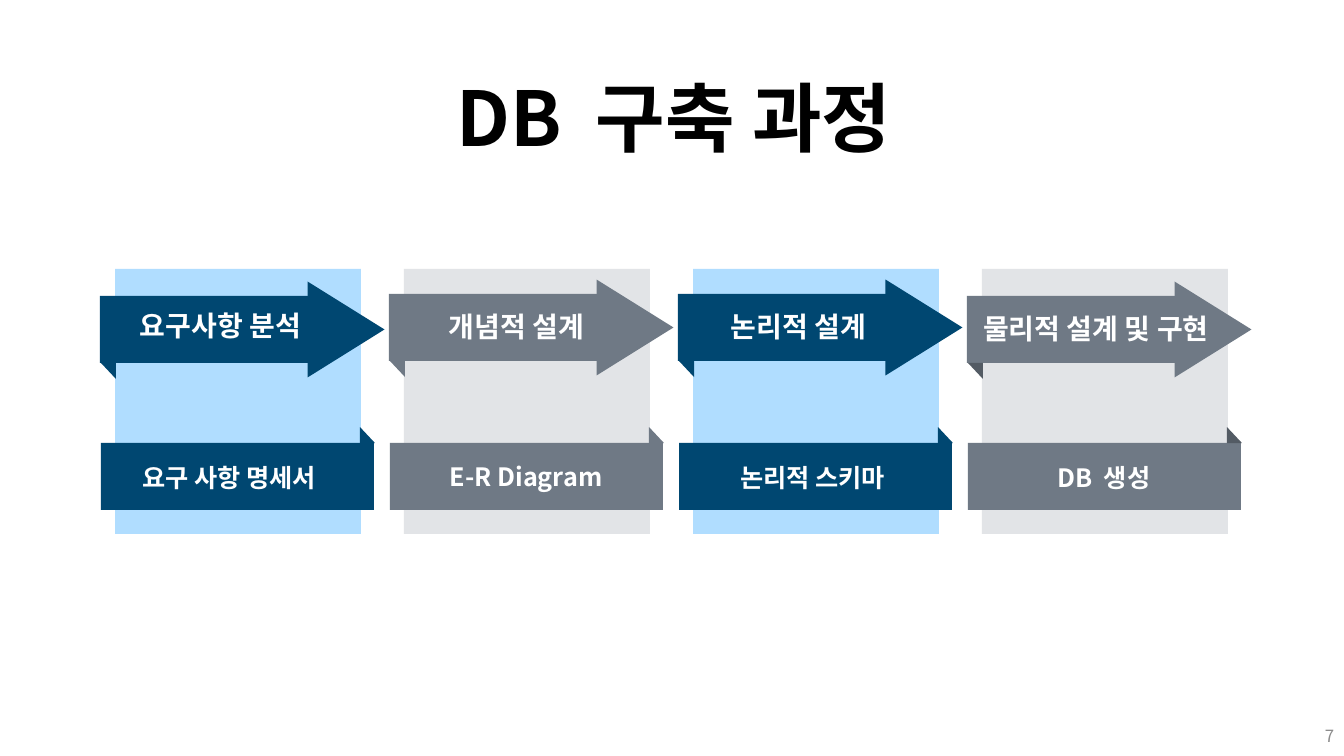
from dataclasses import dataclass

from lxml.etree import SubElement
from pptx import Presentation
from pptx.dml.color import RGBColor
from pptx.enum.shapes import MSO_SHAPE
from pptx.enum.text import MSO_ANCHOR, PP_ALIGN
from pptx.oxml.ns import qn
from pptx.slide import Slide
from pptx.util import Emu, Pt

FONT = "Noto Sans CJK KR"
EMU_PER_PX = 914400 / 100.8
COLORS = {
    "navy": "004771",
    "sky": "B0DDFF",
    "gray": "6F7985",
    "pale": "E2E4E7",
    "dark": "535B64",
    "white": "FFFFFF",
    "black": "000000",
    "number": "8C8C8C",
}

# Column grid
FIRST_LEFT, COLUMN_STEP = 115, 289
PANEL_TOP, PANEL_WIDTH, PANEL_HEIGHT = 269, 246, 265
BAND_TOP, BAND_WIDTH, BAND_HEIGHT = 443, 273, 67
ARROW_WIDTH, HEAD_BASE, HEAD_LENGTH = 209, 96, 77
FOLD_WIDTH, FOLD_HEIGHT = 15, 16


@dataclass(frozen=True)
class Label:
    text: str
    left: int
    top: int
    width: int
    height: int
    size: int
    color: str = "white"
    bold: bool = True
    align: PP_ALIGN = PP_ALIGN.CENTER
    anchor: MSO_ANCHOR = MSO_ANCHOR.TOP
    line_spacing: float = 1.0
    wide_gap: bool = False


@dataclass(frozen=True)
class Stage:
    panel: str
    main: str
    fold: str
    arrow_top: int
    step: Label
    result: Label


STAGES = [
    Stage("sky", "navy", "navy", 296,
          Label("요구사항 분석", 102, 304, 237, 44, 20),
          Label("요구 사항 명세서", 115, 457, 228, 40, 18)),
    Stage("pale", "gray", "gray", 294,
          Label("개념적 설계", 398, 305, 237, 44, 20),
          Label("E-R Diagram", 417, 456, 218, 40, 18)),
    Stage("sky", "navy", "navy", 294,
          Label("논리적 설계", 680, 305, 237, 44, 20),
          Label("논리적 스키마", 690, 457, 245, 40, 18)),
    Stage("pale", "gray", "dark", 296,
          Label("물리적 설계 및 구현", 942, 307, 308, 44, 20),
          Label("DB 생성", 1018, 457, 172, 40, 18, wide_gap=True)),
]
TITLE = Label("DB 구축 과정", 36, 82, 1276, 80, 54, "black",
              anchor=MSO_ANCHOR.MIDDLE, line_spacing=0.9, wide_gap=True)
PAGE_NUMBER = Label("7", 1041, 716, 303, 40, 12, "number", bold=False,
                    align=PP_ALIGN.RIGHT, anchor=MSO_ANCHOR.MIDDLE)


def px(length: int) -> Emu:
    return Emu(round(length * EMU_PER_PX))


def add_block(page: Slide, kind: MSO_SHAPE, left: int, top: int, width: int,
              height: int, color: str, rotation: int = 0) -> None:
    block = page.shapes.add_shape(kind, px(left), px(top), px(width), px(height))
    block.rotation = rotation
    block.shadow.inherit = False
    block.fill.solid()
    block.fill.fore_color.rgb = RGBColor.from_string(COLORS[color])
    block.line.fill.background()


def add_label(page: Slide, label: Label) -> None:
    box = page.shapes.add_textbox(px(label.left), px(label.top),
                                  px(label.width), px(label.height))
    frame = box.text_frame
    frame.word_wrap = True
    frame.vertical_anchor = label.anchor
    para = frame.paragraphs[0]
    para.alignment = label.align
    para.line_spacing = label.line_spacing
    pieces = label.text.partition(" ") if label.wide_gap else (label.text,)
    for piece in pieces:
        span = para.add_run()
        span.text = piece
        span.font.size = Pt(label.size)
        span.font.bold = label.bold
        span.font.name = FONT
        span.font.color.rgb = RGBColor.from_string(COLORS[label.color])
        properties = span._r.get_or_add_rPr()
        SubElement(properties, qn("a:ea"), typeface=FONT)
        if piece == " ":
            # Letter spacing, in hundredths of a point, doubles the gap
            properties.set("spc", str(label.size * 22))


def add_stage(page: Slide, stage: Stage, left: int) -> None:
    # Backing panel
    add_block(page, MSO_SHAPE.RECTANGLE, left, PANEL_TOP,
              PANEL_WIDTH, PANEL_HEIGHT, stage.panel)
    # Result band with its fold
    add_block(page, MSO_SHAPE.RECTANGLE, left - 14, BAND_TOP,
              BAND_WIDTH, BAND_HEIGHT, stage.main)
    add_block(page, MSO_SHAPE.RIGHT_TRIANGLE, left + 245, BAND_TOP - FOLD_HEIGHT,
              FOLD_WIDTH, FOLD_HEIGHT, stage.fold)
    # Step arrow with its fold and head
    arrow_left = left - 15
    add_block(page, MSO_SHAPE.RECTANGLE, arrow_left, stage.arrow_top,
              ARROW_WIDTH, BAND_HEIGHT, stage.main)
    add_block(page, MSO_SHAPE.RIGHT_TRIANGLE, arrow_left + 1,
              stage.arrow_top + BAND_HEIGHT, FOLD_WIDTH, FOLD_HEIGHT,
              stage.fold, 180)
    add_block(page, MSO_SHAPE.ISOSCELES_TRIANGLE, arrow_left + 198,
              stage.arrow_top - 5, HEAD_BASE, HEAD_LENGTH, stage.main, 90)
    add_label(page, stage.step)
    add_label(page, stage.result)


def main() -> None:
    deck = Presentation()
    deck.slide_width, deck.slide_height = px(1344), px(756)
    page = deck.slides.add_slide(deck.slide_layouts[6])
    add_label(page, TITLE)
    for column, stage in enumerate(STAGES):
        add_stage(page, stage, FIRST_LEFT + column * COLUMN_STEP)
    add_label(page, PAGE_NUMBER)
    deck.save("out.pptx")


if __name__ == "__main__":
    main()
